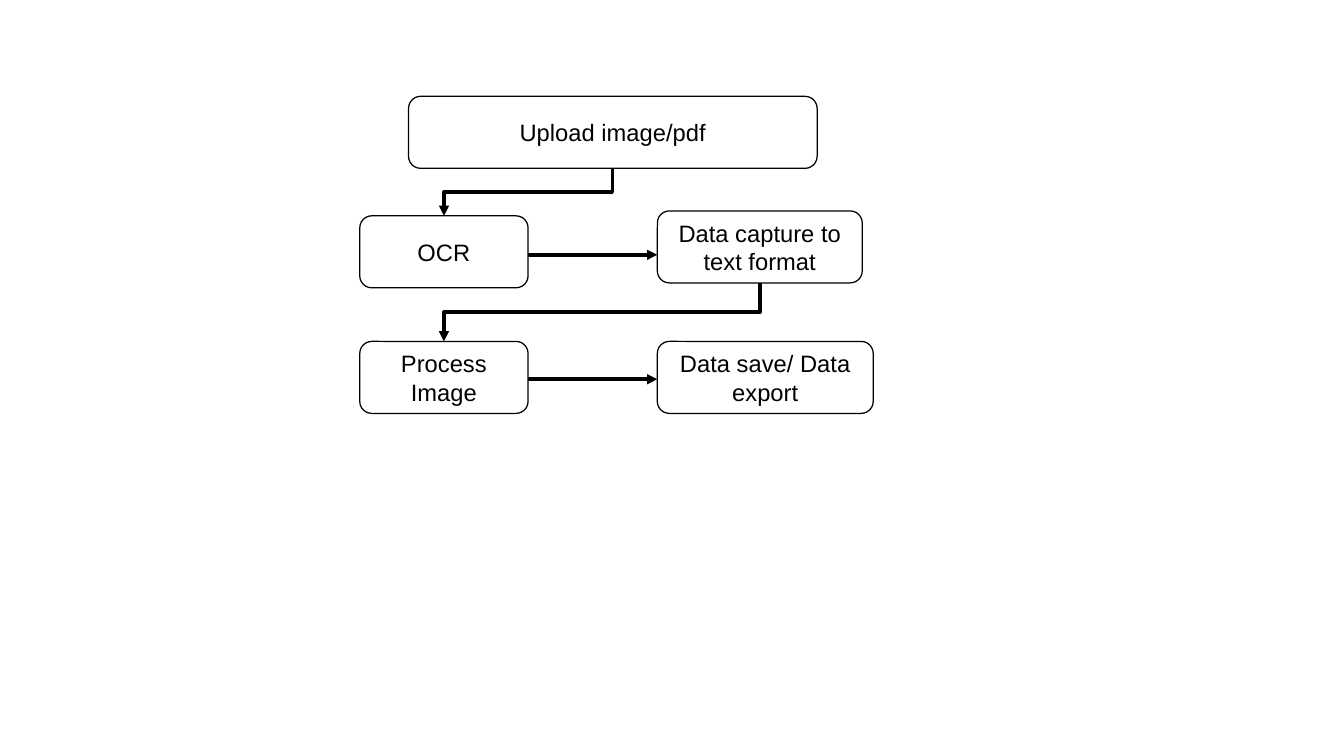
from pptx import Presentation
from pptx.dml.color import RGBColor
from pptx.enum.shapes import MSO_CONNECTOR, MSO_SHAPE
from pptx.enum.text import MSO_ANCHOR, PP_ALIGN
from pptx.oxml.ns import qn
from pptx.oxml.xmlchemy import OxmlElement
from pptx.util import Inches, Pt

BLACK, WHITE = "000000", "FFFFFF"
STEP_HEIGHT = 0.59


def color(hex_code):
    """Return the colour for a hex string."""
    return RGBColor.from_string(hex_code)


def hairline(line):
    """Give a line the thin black style of the chart."""
    line.color.rgb = color(BLACK)
    line.width = Pt(0)


def add_step(slide, text, left, top, width):
    """Add a rounded box with centred text."""
    sp = slide.shapes.add_shape(
        MSO_SHAPE.ROUNDED_RECTANGLE,
        Inches(left), Inches(top), Inches(width), Inches(STEP_HEIGHT))
    sp.shadow.inherit = False
    sp.fill.solid()
    sp.fill.fore_color.rgb = color(WHITE)
    hairline(sp.line)
    tf = sp.text_frame
    tf.word_wrap = True
    tf.vertical_anchor = MSO_ANCHOR.MIDDLE
    tf.text = text
    p = tf.paragraphs[0]
    p.alignment = PP_ALIGN.CENTER
    font = p.runs[0].font
    font.name = "Arial"
    font.size = Pt(14)
    font.color.rgb = color(BLACK)


def add_arrow(slide, kind, x1, y1, x2, y2):
    """Add a connector that ends in a triangle."""
    cxn = slide.shapes.add_connector(
        kind, Inches(x1), Inches(y1), Inches(x2), Inches(y2))
    hairline(cxn.line)
    tail = OxmlElement("a:tailEnd")
    tail.set("type", "triangle")
    cxn.line._get_or_add_ln().append(tail)
    cxn._element.spPr.append(OxmlElement("a:effectLst"))
    return cxn


def add_return_arrow(slide, x1, y1, x2, y2):
    """Add an elbow that goes down, left and down again."""
    mid_x, mid_y = (x1 + x2) / 2, (y1 + y2) / 2
    half_w, half_h = (y2 - y1) / 2, (x1 - x2) / 2
    cxn = add_arrow(slide, MSO_CONNECTOR.ELBOW,
                    mid_x - half_w, mid_y - half_h,
                    mid_x + half_w, mid_y + half_h)
    cxn._element.spPr.find(qn("a:xfrm")).set("rot", "5400000")


def add_flowchart(slide, left, top):
    """Draw the document flow from its top left corner."""
    right, first_width = left + 2.44, 1.38
    first_end, first_mid = left + first_width, left + first_width / 2
    ocr_top, capture_top, process_top = top + 0.98, top + 0.94, top + 2.01

    add_step(slide, "Upload image/pdf", left + 0.4, top, 3.35)
    add_step(slide, "OCR", left, ocr_top, first_width)
    add_step(slide, "Data capture to text format", right, capture_top, 1.68)
    add_step(slide, "Process Image", left, process_top, first_width)
    add_step(slide, "Data save/ Data export", right, process_top, 1.77)

    for y in (top + 1.3, top + 2.32):
        add_arrow(slide, MSO_CONNECTOR.STRAIGHT, first_end, y, right, y)
    add_return_arrow(slide, left + 2.07, top + STEP_HEIGHT, first_mid, ocr_top)
    add_return_arrow(slide, right + 0.84, capture_top + STEP_HEIGHT,
                     first_mid, process_top)


def main():
    """Build and save the slide."""
    prs = Presentation()
    prs.slide_width, prs.slide_height = Inches(11.02), Inches(6.2)
    slide = prs.slides.add_slide(prs.slide_layouts[6])
    add_flowchart(slide, 2.95, 0.79)
    prs.save("out.pptx")


if __name__ == "__main__":
    main()
